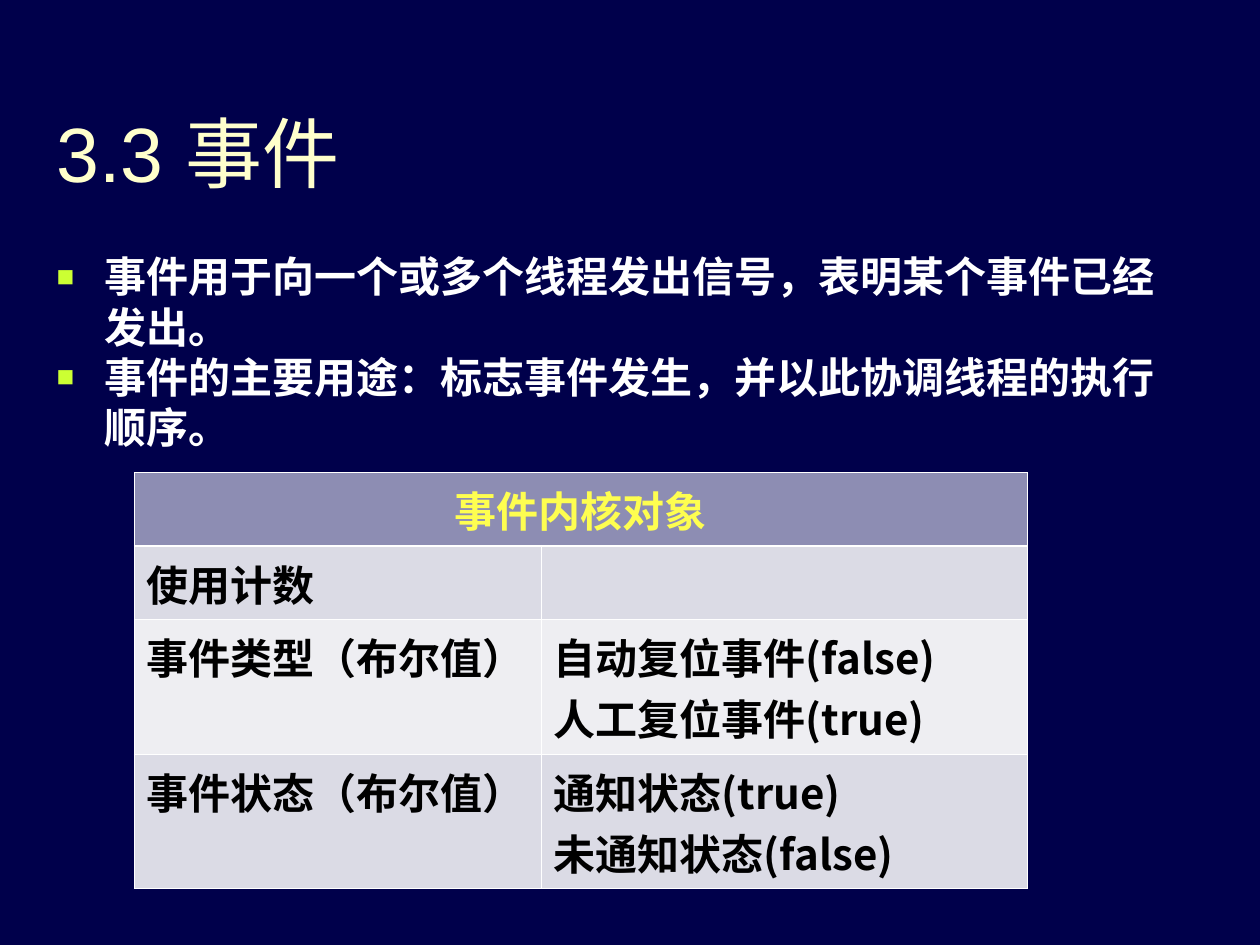
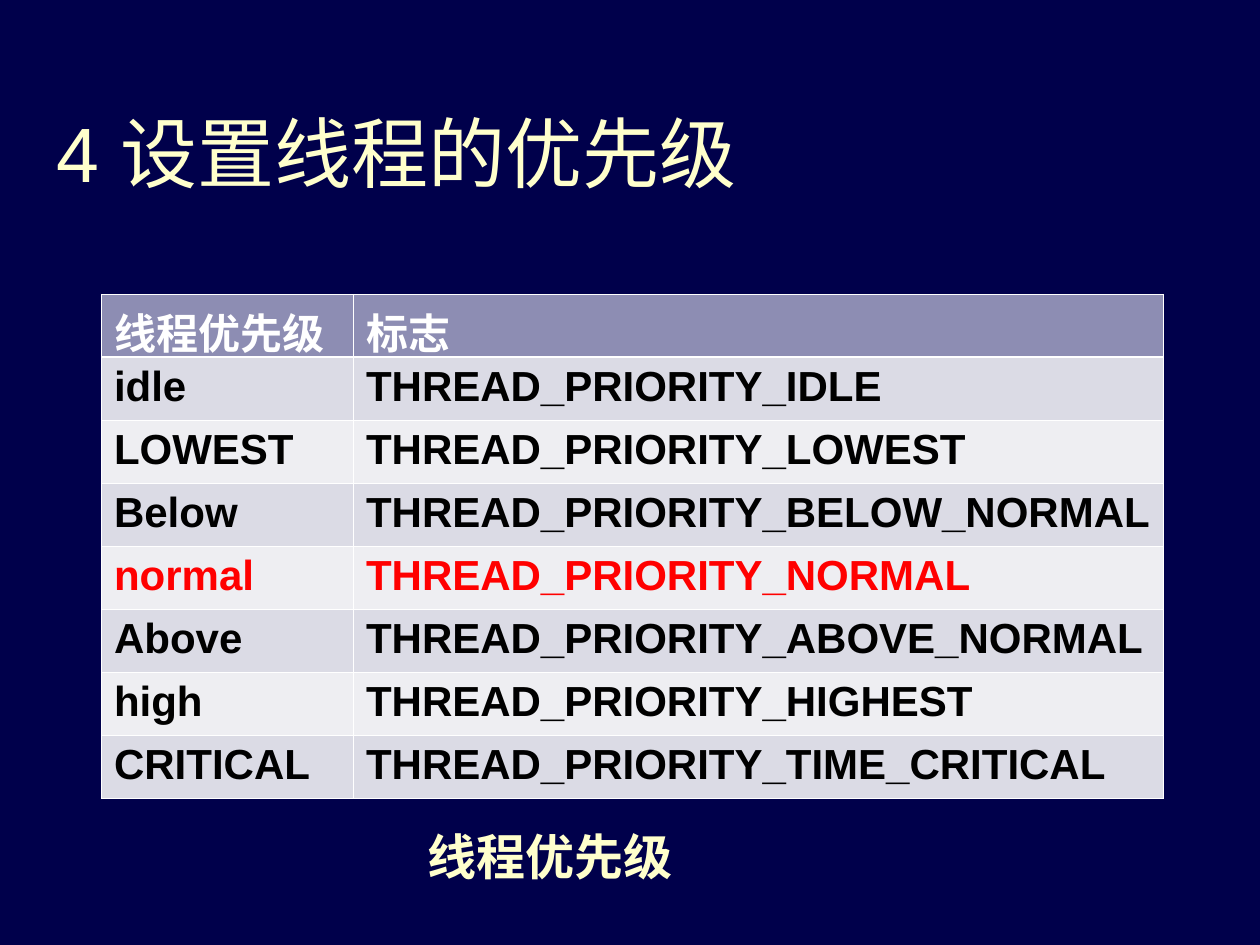
from pptx import Presentation, util as u
from pptx.dml.color import RGBColor
from pptx.enum import text as t
from pptx.oxml import parse_xml
from pptx.oxml.ns import nsdecls

HUES = {"back": "00004B", "title": "FFFFCC", "body": "FFFFFF", "mark": "CCFF33",
        "head": "8D8DB3", "odd": "DBDBE5", "even": "EEEEF2", "ink": "000000",
        "gold": "FEFE50", "hot": "FF0000", "rule": "FFFFFF"}
LATIN, HAN = "Arial", "Noto Sans CJK SC"
COLS = 100
UNIT = u.Inches(10) // COLS
TITLE = (3.5, 7.9, 94.5, 8.3)
EVENT = [["事件内核对象", ""],
         ["使用计数", ""],
         ["事件类型（布尔值）", "自动复位事件(false)\n人工复位事件(true)"],
         ["事件状态（布尔值）", "通知状态(true)\n未通知状态(false)"]]
LEVELS = [("idle", "IDLE"), ("LOWEST", "LOWEST"), ("Below", "BELOW_NORMAL"),
          ("normal", "NORMAL"), ("Above", "ABOVE_NORMAL"), ("high", "HIGHEST"),
          ("CRITICAL", "TIME_CRITICAL")]


def grid(*vals):
    """Turn grid units into slide lengths."""
    return [int(val * UNIT) for val in vals]


def tint(hue):
    """Look up a named colour."""
    return RGBColor.from_string(HUES[hue])


def node(xml):
    """Parse one drawing element."""
    return parse_xml(xml.replace(" ", f" {nsdecls('a')} ", 1))


def write(frame, words, size=24, hue="ink", bold=True, font=LATIN,
          align=t.PP_ALIGN.LEFT):
    """Fill a text frame with one formatted paragraph per line."""
    frame.text = words
    for par in frame.paragraphs:
        par.alignment = align
        par.space_before = u.Pt(0)
        par.line_spacing = 1.0
        for run in par.runs:
            face = run.font
            face.size, face.bold, face.name = u.Pt(size), bold, font
            face.color.rgb = tint(hue)
            face._element.find("{*}latin").addnext(node(f'<a:ea typeface="{HAN}"/>'))


def place(shape, box):
    """Move a shape to a grid box."""
    shape.left, shape.top, shape.width, shape.height = grid(*box)


def title(slide, words):
    """Set the slide title."""
    shape = slide.shapes.title
    place(shape, TITLE)
    frame = shape.text_frame
    frame.vertical_anchor = t.MSO_ANCHOR.BOTTOM
    frame.auto_size = t.MSO_AUTO_SIZE.SHAPE_TO_FIT_TEXT
    write(frame, words, size=44, hue="title", bold=False)


def points(slide, box, words):
    """Set the body list with square bullets."""
    shape = slide.placeholders[1]
    place(shape, box)
    frame = shape.text_frame
    frame.auto_size = t.MSO_AUTO_SIZE.NONE
    write(frame, words, hue="body", font=HAN)
    for par in frame.paragraphs:
        prop = par._p.get_or_add_pPr()
        prop.set("marL", str(u.Inches(0.38)))
        prop.set("indent", str(-u.Inches(0.38)))
        for xml in (f'<a:buClr ><a:srgbClr val="{HUES["mark"]}"/></a:buClr>',
                    '<a:buSzPct val="70000"/>',
                    f'<a:buFont typeface="{LATIN}"/>',
                    '<a:buChar char="■"/>'):
            prop.append(node(xml))


def edge(cell, row):
    """Rule a cell, with a thick line under the head row."""
    prop = cell._tc.get_or_add_tcPr()
    thick = {0: "B", 1: "T"}.get(row)
    for side in "LRTB":
        wide = u.Pt(1.47 if side == thick else 0.45)
        prop.append(node(f'<a:ln{side} w="{wide}"><a:solidFill><a:srgbClr '
                         f'val="{HUES["rule"]}"/></a:solidFill></a:ln{side}>'))


def table(slide, box, cols, rows, data, style):
    """Draw a banded table; style gives the text format of each cell."""
    tab = slide.shapes.add_table(len(rows), len(cols), *grid(*box)).table
    for col, wide in zip(tab.columns, grid(*cols)):
        col.width = wide
    for row, tall in zip(tab.rows, grid(*rows)):
        row.height = tall
    for r, line in enumerate(data):
        for c, words in enumerate(line):
            cell = tab.cell(r, c)
            edge(cell, r)
            cell.fill.solid()
            cell.fill.fore_color.rgb = tint("head" if r == 0 else "odd" if r % 2 else "even")
            if words:
                write(cell.text_frame, words, **style(r, c))
    return tab


def caption(slide, box, words):
    """Add a label below a table."""
    frame = slide.shapes.add_textbox(*grid(*box)).text_frame
    frame.word_wrap = True
    frame.auto_size = t.MSO_AUTO_SIZE.SHAPE_TO_FIT_TEXT
    write(frame, words, size=28, hue="title")


def event(deck):
    """Build the slide on events."""
    slide = deck.slides.add_slide(deck.slide_layouts[1])
    title(slide, "3.3 事件")
    points(slide, (3.5, 19.4, 89.8, 45),
           "事件用于向一个或多个线程发出信号，表明某个事件已经发出。\n"
           "事件的主要用途：标志事件发生，并以此协调线程的执行顺序。")

    def style(r, c):
        """Centre the head row."""
        if r == 0:
            return {"hue": "gold", "align": t.PP_ALIGN.CENTER}
        return {"font": HAN if c or r == 1 else LATIN}

    tab = table(slide, (10.65, 37.5, 70.9, 28), (32.3, 38.6), (5, 5, 9, 9), EVENT, style)
    tab.cell(0, 0).merge(tab.cell(0, 1))


def levels(deck):
    """Build the slide on thread priorities."""
    slide = deck.slides.add_slide(deck.slide_layouts[5])
    title(slide, "4 设置线程的优先级")
    data = [("线程优先级", "标志")]
    data += [(name, f"THREAD_PRIORITY_{flag}") for name, flag in LEVELS]

    def style(r, c):
        """Mark the head row and the normal level."""
        return {"hue": "body" if r == 0 else "hot" if data[r][0] == "normal" else "ink"}

    table(slide, (8.05, 23.35, 84.3, 40), (20, 64.3), [5] * len(data), data, style)
    caption(slide, (32.95, 65.1, 35, 5.7), "线程优先级")


def main():
    """Build and save the deck."""
    deck = Presentation()
    deck.slide_width, deck.slide_height = grid(COLS, 75)
    fill = deck.slide_master.background.fill
    fill.solid()
    fill.fore_color.rgb = tint("back")
    event(deck)
    levels(deck)
    deck.save("out.pptx")


if __name__ == "__main__":
    main()
